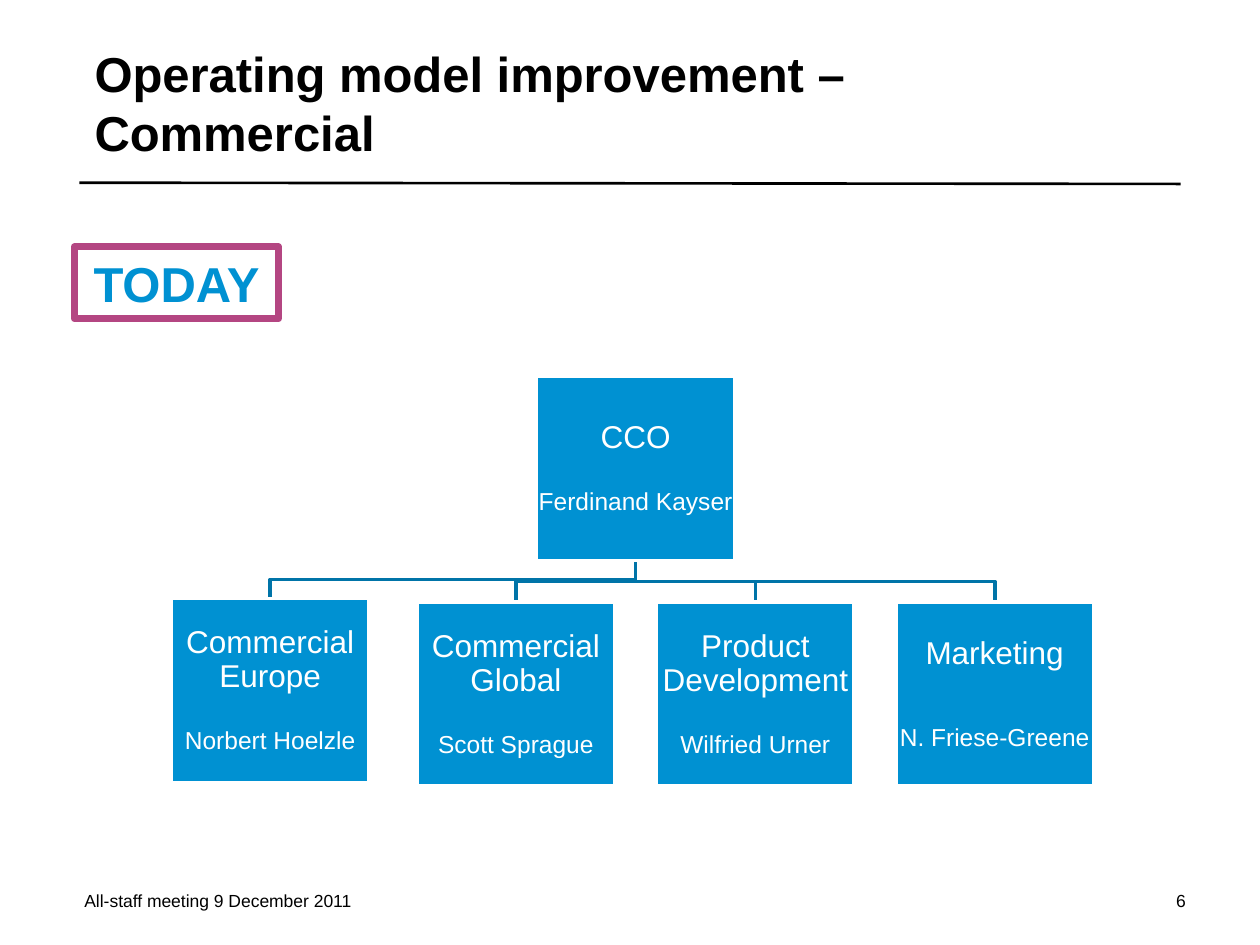
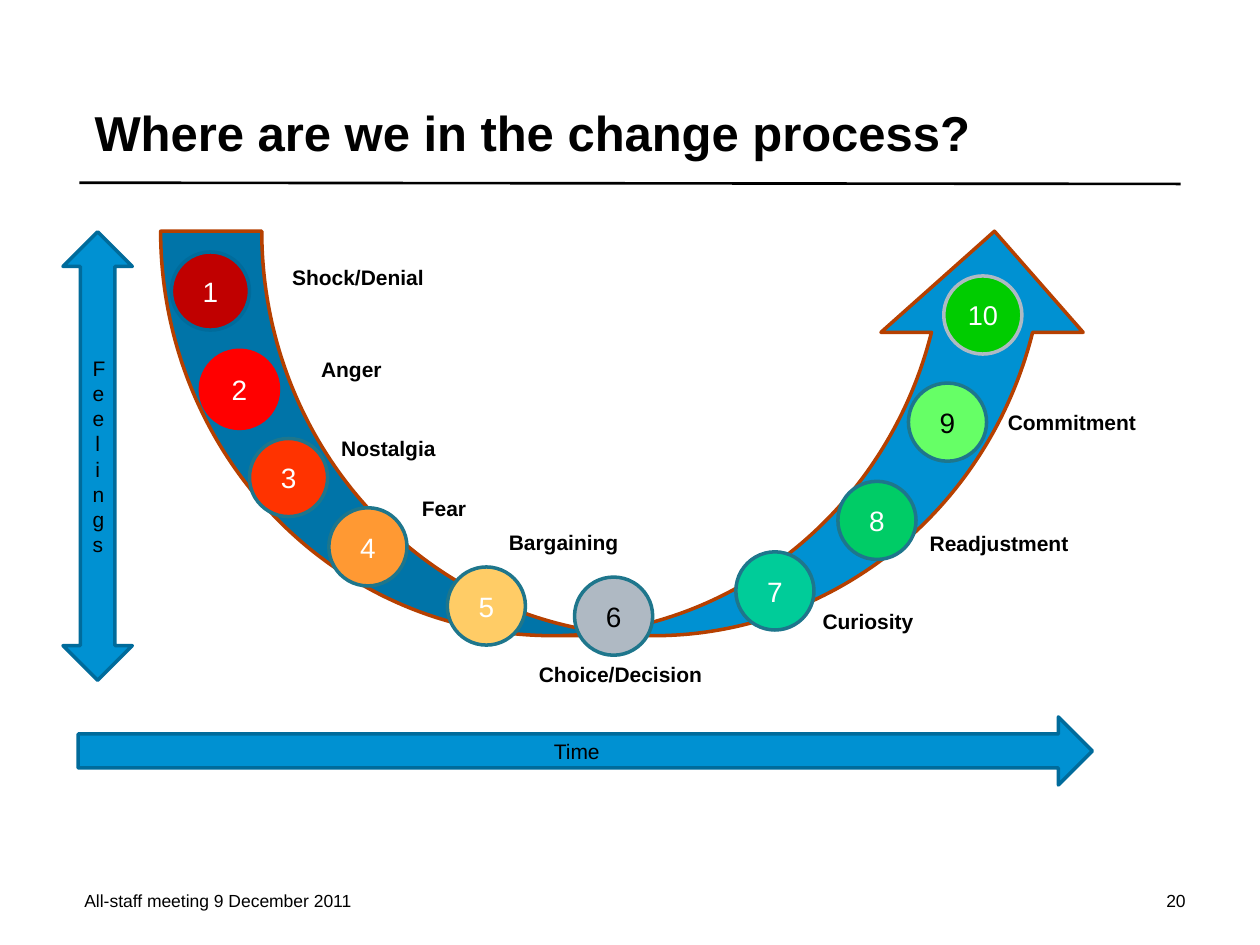
from lxml.etree import SubElement
from pptx import Presentation
from pptx.dml.color import RGBColor
from pptx.enum.shapes import MSO_CONNECTOR, MSO_SHAPE as SHAPE
from pptx.enum.text import MSO_ANCHOR as ANCHOR, MSO_AUTO_SIZE, PP_ALIGN as ALIGN
from pptx.oxml.ns import qn
from pptx.util import Inches, Pt

FONT = "Arial"
BLACK, WHITE = "000000", "FFFFFF"
BLUE, NAVY, BRANCH, TEAL = "0091D2", "006B9B", "0074A8", "1E768C"
PURPLE, RUST, GREY = "B44682", "B64000", "AFB9C3"
FOOTER = "All-staff meeting 9 December 2011"

BOX_W, BOX_H = 1.57, 1.46
CCO_X, CCO_Y = 4.26, 2.99
UNITS = [
    (1.36, 4.75, "Commercial Europe", "Norbert Hoelzle"),
    (3.31, 4.78, "Commercial Global", "Scott Sprague"),
    (5.21, 4.78, "Product Development", "Wilfried Urner"),
    (7.11, 4.78, "Marketing", "N. Friese-Greene"),
]

CIRCLE = 0.62
STAGES = [
    (1.36, 2.00, "C00000", NAVY, WHITE),
    (1.59, 2.78, "FF0000", "FF0000", WHITE),
    (1.98, 3.48, "FF3300", TEAL, WHITE),
    (2.61, 4.03, "FF9933", TEAL, WHITE),
    (3.55, 4.50, "FFCC66", TEAL, WHITE),
    (4.56, 4.58, GREY, TEAL, BLACK),
    (5.84, 4.38, "00CC99", TEAL, WHITE),
    (6.65, 3.82, "00CC66", TEAL, WHITE),
    (7.21, 3.04, "66FF66", TEAL, BLACK),
    (7.49, 2.19, "00CC00", GREY, WHITE),
]
STAGE_LABELS = [
    (2.22, 2.05, 2.10, "Shock/Denial", ALIGN.LEFT),
    (2.45, 2.78, 1.17, "Anger", ALIGN.LEFT),
    (2.61, 3.41, 1.56, "Nostalgia", ALIGN.LEFT),
    (3.25, 3.88, 1.56, "Fear", ALIGN.LEFT),
    (3.94, 4.15, 1.56, "Bargaining", ALIGN.LEFT),
    (3.79, 5.20, 2.27, "Choice/Decision", ALIGN.CENTER),
    (6.43, 4.78, 2.27, "Curiosity", ALIGN.LEFT),
    (7.28, 4.16, 1.95, "Readjustment", ALIGN.LEFT),
    (7.90, 3.20, 1.88, "Commitment", ALIGN.LEFT),
]


def rgb(value):
    return RGBColor.from_string(value)


class Deck:
    """Holds the presentation style and the slide being drawn."""

    def __init__(self):
        self.prs = Presentation()
        self.prs.slide_width, self.prs.slide_height = Inches(10), Inches(7.5)
        self.slide = None

    def new_slide(self, title, number):
        self.slide = self.prs.slides.add_slide(self.prs.slide_layouts[5])
        sp = self.slide.shapes.title
        sp.left, sp.top = Inches(0.67), Inches(0.2)
        sp.width, sp.height = Inches(7.68), Inches(1.08)
        tf = self.frame(sp, (0.08, 0, 0, 0), ANCHOR.BOTTOM)
        tf.auto_size = MSO_AUTO_SIZE.NONE
        self.add_run(tf.paragraphs[0], title, 28, bold=True, align=ALIGN.LEFT)
        self.rule(0.63, 1.45, 9.37, 1.46)
        self.text(0.67, 7.05, 6.06, 0.2, FOOTER, 10, inset=0, anchor=ANCHOR.MIDDLE)
        self.text(8.07, 7.05, 1.34, 0.2, number, 10, inset=0,
                  anchor=ANCHOR.MIDDLE, align=ALIGN.RIGHT)

    def frame(self, sp, insets, anchor):
        tf = sp.text_frame
        tf.word_wrap = True
        tf.vertical_anchor = anchor
        (tf.margin_left, tf.margin_top,
         tf.margin_right, tf.margin_bottom) = map(Inches, insets)
        return tf

    def add_run(self, p, text, size, color=BLACK, bold=False, align=ALIGN.CENTER):
        p.alignment = align
        r = p.add_run()
        r.text = text
        r.font.name, r.font.size, r.font.bold = FONT, Pt(size), bold
        r.font.color.rgb = rgb(color)

    def line_break(self, p, size):
        p.add_line_break()
        SubElement(p._p[-1], qn("a:rPr"), sz=str(size * 100))

    def rule(self, x1, y1, x2, y2):
        line = self.slide.shapes.add_connector(
            MSO_CONNECTOR.STRAIGHT, *map(Inches, (x1, y1, x2, y2)))
        line.line.color.rgb = rgb(BLACK)
        line.line.width = Pt(1.5)
        SubElement(line._element.spPr, qn("a:effectLst"))

    def text(self, x, y, w, h, text, size, bold=False, inset=None,
             anchor=ANCHOR.TOP, align=ALIGN.LEFT):
        sp = self.slide.shapes.add_textbox(*map(Inches, (x, y, w, h)))
        insets = (0.1, 0.05, 0.1, 0.05) if inset is None else (inset,) * 4
        tf = self.frame(sp, insets, anchor)
        self.add_run(tf.paragraphs[0], text, size, bold=bold, align=align)

    def shape(self, kind, x, y, w, h, fill, line, weight=2):
        sp = self.slide.shapes.add_shape(kind, *map(Inches, (x, y, w, h)))
        sp.shadow.inherit = False
        sp.fill.solid()
        sp.fill.fore_color.rgb = rgb(fill)
        sp.line.color.rgb = rgb(line)
        sp.line.width = Pt(weight)
        return sp

    def labelled(self, sp, lines, size, color=BLACK, bold=False,
                 insets=(0.1, 0.05, 0.1, 0.05)):
        tf = self.frame(sp, insets, ANCHOR.MIDDLE)
        for i, line in enumerate(lines):
            p = tf.add_paragraph() if i else tf.paragraphs[0]
            self.add_run(p, line, size, color, bold)

    def branch(self, x1, y1, x2, y2):
        mid = y1 + (y2 - y1) / 2
        points = [(x1, mid), (x2, mid), (x2, y2)]
        fb = self.slide.shapes.build_freeform(Inches(x1), Inches(y1))
        fb.add_line_segments([(Inches(x), Inches(y)) for x, y in points], close=False)
        sp = fb.convert_to_shape()
        sp.shadow.inherit = False
        sp.fill.background()
        sp.line.color.rgb = rgb(BRANCH)
        sp.line.width = Pt(2)

    def org_box(self, x, y, role, person):
        sp = self.shape(SHAPE.RECTANGLE, x, y, BOX_W, BOX_H, BLUE, WHITE)
        tf = self.frame(sp, (0.01,) * 4, ANCHOR.MIDDLE)
        p = tf.paragraphs[0]
        self.add_run(p, role, 18, WHITE)
        if role == "Marketing":
            p = tf.add_paragraph()
            self.line_break(p, 24)
        else:
            self.line_break(p, 18)
            self.line_break(p, 18)
        self.add_run(p, person, 14, WHITE)
        for p in tf.paragraphs:
            p.line_spacing = 0.9
            p.space_after = Pt(5)


def commercial_slide(deck):
    deck.new_slide("Operating model improvement – Commercial", "6")
    for x, y, _, _ in reversed(UNITS):
        deck.branch(CCO_X + BOX_W / 2, CCO_Y + BOX_H, x + BOX_W / 2, y)
    deck.org_box(CCO_X, CCO_Y, "CCO", "Ferdinand Kayser")
    for unit in UNITS:
        deck.org_box(*unit)
    today = deck.shape(SHAPE.RECTANGLE, 0.59, 1.96, 1.62, 0.57, WHITE, PURPLE, 4)
    deck.labelled(today, ["TODAY"], 28, BLUE, bold=True)


def change_slide(deck):
    deck.new_slide("Where are we in the change process?", "20")
    curve = deck.shape(SHAPE.CURVED_RIGHT_ARROW, 3.38, -0.27, 3.21, 7.42, BLUE, RUST)
    curve.rotation = 270
    for i, value in enumerate((0.25, 0.5, 0.25)):
        curve.adjustments[i] = value
    feelings = deck.shape(SHAPE.UP_DOWN_ARROW, 0.5, 1.84, 0.55, 3.56, BLUE, NAVY)
    deck.labelled(feelings, ["Feel", "ings"], 12)
    time_axis = deck.shape(SHAPE.RIGHT_ARROW, 0.62, 5.69, 8.05, 0.54, BLUE, NAVY)
    deck.labelled(time_axis, ["Time"], 12)
    for n, (x, y, fill, line, color) in enumerate(STAGES, 1):
        sp = deck.shape(SHAPE.OVAL, x, y, CIRCLE, CIRCLE, fill, line)
        deck.labelled(sp, [str(n)], 16 if n < 10 else 15.5, color, insets=(0,) * 4)
    for x, y, w, label, align in STAGE_LABELS:
        deck.text(x, y, w, 0.3, label, 12, bold=True, align=align)


def main():
    deck = Deck()
    commercial_slide(deck)
    change_slide(deck)
    deck.prs.save("out.pptx")


if __name__ == "__main__":
    main()
